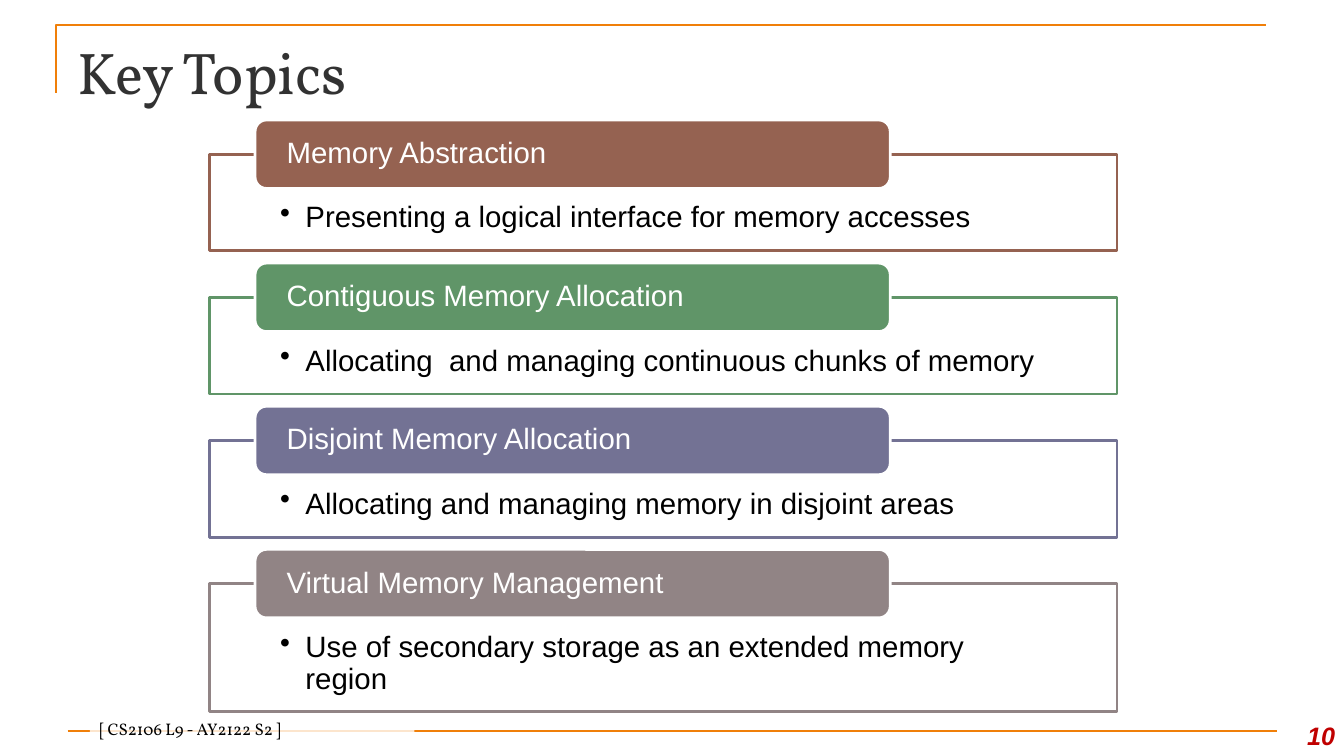
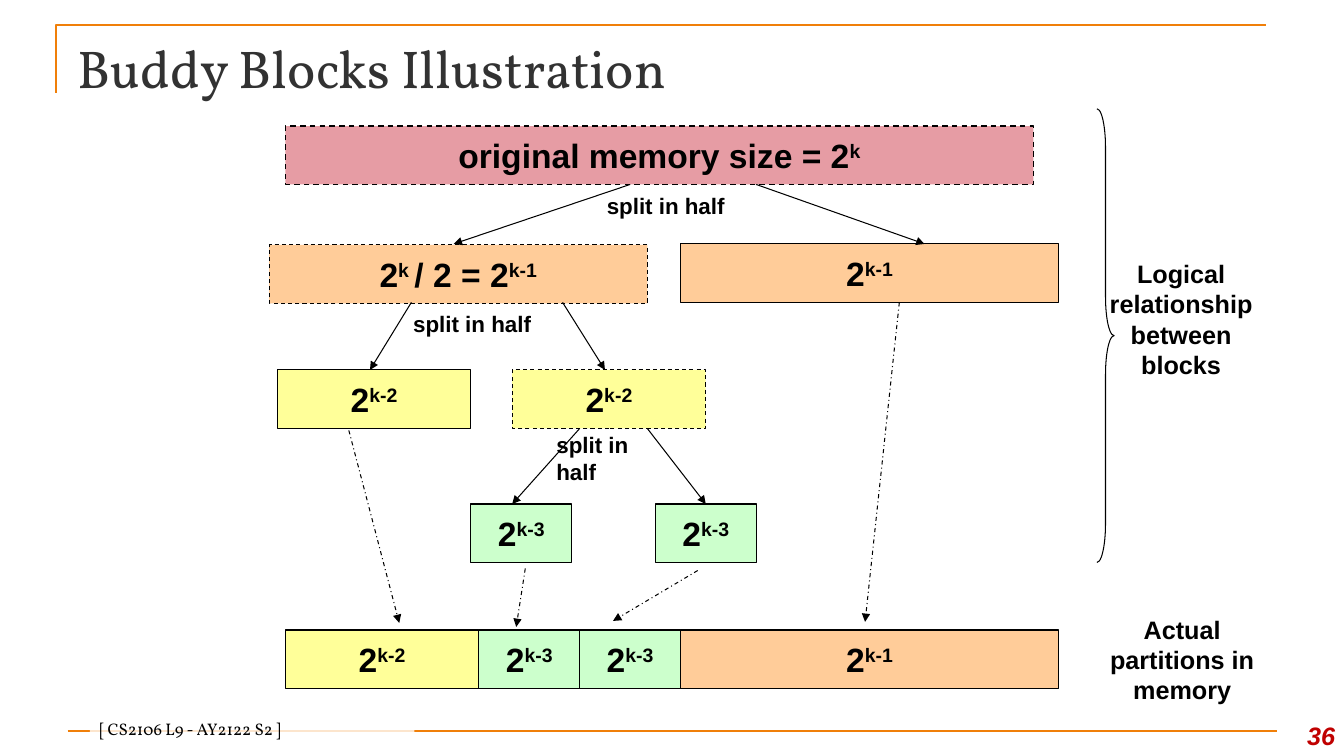
from pptx import Presentation
from pptx.dml.color import RGBColor
from pptx.enum.dml import MSO_LINE
from pptx.enum.shapes import MSO_CONNECTOR, MSO_SHAPE
from pptx.enum.text import MSO_ANCHOR, MSO_AUTO_SIZE, PP_ALIGN
from pptx.oxml.ns import qn
from pptx.util import Inches, Pt
from lxml import etree

# Shared colours and fonts
ORANGE = RGBColor(0xF0, 0x7F, 0x09)
CHARCOAL = RGBColor(0x32, 0x32, 0x32)
DARK_RED = RGBColor(0xC0, 0x00, 0x00)
BLACK = RGBColor(0x00, 0x00, 0x00)
WHITE = RGBColor(0xFF, 0xFF, 0xFF)
BROWN = RGBColor(0x95, 0x62, 0x51)
GREEN = RGBColor(0x60, 0x95, 0x68)
VIOLET = RGBColor(0x73, 0x72, 0x94)
GREY = RGBColor(0x91, 0x84, 0x85)
PINK = RGBColor(0xE6, 0x9C, 0xA4)
PEACH = RGBColor(0xFF, 0xCC, 0x99)
YELLOW = RGBColor(0xFF, 0xFF, 0x99)
MINT = RGBColor(0xCC, 0xFF, 0xCC)
SERIF = "Vollkorn"
SANS = "Arial"

RECTANGLE = MSO_SHAPE.RECTANGLE
ROUNDED = MSO_SHAPE.ROUNDED_RECTANGLE
RIGHT_BRACE = MSO_SHAPE.RIGHT_BRACE
STRAIGHT = MSO_CONNECTOR.STRAIGHT
TOP, MIDDLE, BOTTOM = MSO_ANCHOR.TOP, MSO_ANCHOR.MIDDLE, MSO_ANCHOR.BOTTOM
LEFT, CENTER, RIGHT = PP_ALIGN.LEFT, PP_ALIGN.CENTER, PP_ALIGN.RIGHT
DASH, DASH_DOT = MSO_LINE.DASH, MSO_LINE.DASH_DOT
NO_AUTOFIT = MSO_AUTO_SIZE.NONE

TITLE_ONLY = 5
BLOCK_HEIGHT = 0.58
FOOTER = "[ CS2106 L9 - AY2122 S2 ]"

TOPICS = [
    ("Memory Abstraction",
     "Presenting a logical interface for memory accesses", BROWN, 0.96),
    ("Contiguous Memory Allocation",
     "Allocating  and managing continuous chunks of memory", GREEN, 0.96),
    ("Disjoint Memory Allocation",
     "Allocating and managing memory in disjoint areas", VIOLET, 0.96),
    ("Virtual Memory Management",
     "Use of secondary storage as an extended memory region", GREY, 1.27),
]

# Text between a pair of ^ marks is superscript: text, left, top, width, fill, dash
BLOCKS = [
    ("original memory size = 2^k", 2.83, 1.25, 7.42, PINK, DASH),
    ("2^k ^/ 2 = 2^k-1", 2.67, 2.43, 3.75, PEACH, DASH),
    ("2^k-1", 6.75, 2.42, 3.75, PEACH, None),
    ("2^k-2", 2.75, 3.67, 1.92, YELLOW, None),
    ("2^k-2", 5.08, 3.67, 1.92, YELLOW, DASH),
    ("2^k-3", 4.67, 5, 1, MINT, None),
    ("2^k-3", 6.5, 5, 1, MINT, None),
]

PARTITIONS = [
    ("2^k-2", 1.92, YELLOW),
    ("2^k-3", 1, MINT),
    ("2^k-3", 1, MINT),
    ("2^k-1", 3.75, PEACH),
]

SPLIT_ARROWS = [
    ((6.25, 1.83), (4.5, 2.42)),
    ((7.5, 1.83), (9.17, 2.42)),
    ((4.08, 3), (3.67, 3.67)),
    ((5.58, 3), (6, 3.67)),
    ((5.75, 4.25), (5.08, 5)),
    ((6.42, 4.25), (7, 5)),
]

PLACEMENT_ARROWS = [
    ((3.46, 4.27), (3.96, 6.18)),
    ((5.21, 5.64), (5.12, 6.22)),
    ((6.92, 5.66), (6.08, 6.16)),
    ((8.92, 3), (8.58, 6.17)),
]

SPLIT_LABELS = [(5.92, 1.75, 1.67), (4, 2.92, 1.67), (5.42, 4.25, 1.33)]


def box(left, top, width, height):
    return Inches(left), Inches(top), Inches(width), Inches(height)


def style_font(font, size, color, name=SANS, bold=False, italic=False):
    font.size, font.name = Pt(size), name
    font.bold, font.italic = bold, italic
    font.color.rgb = color


def write(shape, text, size, color, align=LEFT, anchor=MIDDLE, wrap=True, **style):
    """Write one paragraph, raising the parts that follow odd ^ marks."""
    frame = shape.text_frame
    frame.word_wrap = wrap
    frame.auto_size = NO_AUTOFIT
    frame.vertical_anchor = anchor
    paragraph = frame.paragraphs[0]
    paragraph.alignment = align
    style_font(paragraph.font, size, color, **style)
    for index, part in enumerate(text.split("^")):
        run = paragraph.add_run()
        run.text = part
        if index % 2:
            run._r.get_or_add_rPr().set("baseline", "30000")
    return paragraph


def set_insets(shape, left, top, right, bottom):
    frame = shape.text_frame
    frame.margin_left, frame.margin_top = Inches(left), Inches(top)
    frame.margin_right, frame.margin_bottom = Inches(right), Inches(bottom)


def add_bullet(paragraph, indent):
    properties = paragraph._p.get_or_add_pPr()
    properties.set("marL", str(Inches(indent)))
    properties.set("indent", str(-Inches(indent)))
    bullet = etree.Element(qn("a:buChar"), char="•")
    properties.insert_element_before(bullet, "a:tabLst", "a:defRPr", "a:extLst")


def set_line(line, color, width, dash=None):
    line.color.rgb = color
    line.width = Pt(width)
    if dash is not None:
        line.dash_style = dash


def add_panel(slide, kind, place, fill=None, line=None, width=0.75, dash=None):
    shape = slide.shapes.add_shape(kind, *box(*place))
    shape.shadow.inherit = False
    if fill is None:
        shape.fill.background()
    else:
        shape.fill.solid()
        shape.fill.fore_color.rgb = fill
    if line is None:
        shape.line.fill.background()
    else:
        set_line(shape.line, line, width, dash)
    return shape


def add_label(slide, place, text, size, color=BLACK, **style):
    text_box = slide.shapes.add_textbox(*box(*place))
    write(text_box, text, size, color, **style)


def add_line(slide, start, end, color, width, dash=None, arrow=False):
    ends = [Inches(value) for value in (*start, *end)]
    connector = slide.shapes.add_connector(STRAIGHT, *ends)
    set_line(connector.line, color, width, dash)
    if arrow:
        outline = connector.line._get_or_add_ln()
        etree.SubElement(outline, qn("a:tailEnd"), type="triangle")
    etree.SubElement(connector._element.spPr, qn("a:effectLst"))


def add_block(slide, text, left, top, width, fill, dash=None):
    line_width = 1 if fill == PINK else 0.75
    block = add_panel(slide, RECTANGLE, (left, top, width, BLOCK_HEIGHT),
                      fill, BLACK, line_width, dash)
    write(block, text, 24, BLACK, align=CENTER, wrap=False, bold=True)


def add_topic(slide, top, heading, detail, color, height):
    frame = add_panel(slide, RECTANGLE, (2.08, top, 9, height), WHITE, color, 2)
    set_insets(frame, 0.7, 0.48, 0.7, 0.16)
    paragraph = write(frame, detail, 21, BLACK, anchor=TOP)
    paragraph.line_spacing = 0.9
    add_bullet(paragraph, 0.25)

    header = add_panel(slide, ROUNDED, (2.53, top - 0.34, 6.3, 0.68), color, WHITE, 2)
    set_insets(header, 0.28, 0, 0.28, 0)
    write(header, heading, 21, WHITE).line_spacing = 0.9


def add_base_slide(presentation, title, title_size, number):
    slide = presentation.slides.add_slide(presentation.slide_layouts[TITLE_ONLY])

    # Corner rule and bottom rule
    builder = slide.shapes.build_freeform(Inches(0.56), Inches(0.92))
    corner_points = [(Inches(0.56), Inches(0.25)), (Inches(12.56), Inches(0.25))]
    builder.add_line_segments(corner_points, close=False)
    corner = builder.convert_to_shape()
    corner.shadow.inherit = False
    corner.fill.background()
    set_line(corner.line, ORANGE, 1.5)
    add_line(slide, (0.67, 7.25), (12.67, 7.25), ORANGE, 1.5)

    # Title
    heading = slide.shapes.title
    heading.left, heading.top, heading.width, heading.height = box(0.67, 0.3, 12, 0.78)
    write(heading, title, title_size, CHARCOAL, anchor=TOP, name=SERIF)

    # Footer and slide number
    footer = add_panel(slide, RECTANGLE, (0.89, 7.13, 3.22, 0.25), WHITE)
    fill_color = footer._element.spPr.find(".//" + qn("a:srgbClr"))
    etree.SubElement(fill_color, qn("a:alpha"), val="80000")
    write(footer, FOOTER, 12, BLACK, anchor=BOTTOM, name=SERIF)
    add_label(slide, (12.56, 7, 0.78, 0.5), number, 18, DARK_RED,
              align=RIGHT, anchor=BOTTOM, bold=True, italic=True)
    return slide


def build_key_topics(presentation):
    slide = add_base_slide(presentation, "Key Topics", 42, "10")
    for index, topic in enumerate(TOPICS):
        add_topic(slide, 1.53 + 1.42 * index, *topic)


def build_buddy_blocks(presentation):
    slide = add_base_slide(presentation, "Buddy Blocks Illustration", 38, "36")

    # Tree of splits
    for block in BLOCKS:
        add_block(slide, *block)
    for start, end in SPLIT_ARROWS:
        add_line(slide, start, end, BLACK, 0.75, arrow=True)
    for left, top, width in SPLIT_LABELS:
        add_label(slide, (left, top, width, BLOCK_HEIGHT), "split in half", 16, bold=True)

    # Partitions side by side in memory
    left = 2.83
    for text, width, fill in PARTITIONS:
        add_block(slide, text, left, 6.25, width, fill)
        left += width
    for start, end in PLACEMENT_ARROWS:
        add_line(slide, start, end, BLACK, 0.75, DASH_DOT, arrow=True)

    # Side notes
    brace = add_panel(slide, RIGHT_BRACE, (10.88, 1.08, 0.17, 4.5), line=BLACK)
    brace.adjustments[0] = 2.25
    add_label(slide, (10.88, 2.33, 1.67, 1.67), "Logical relationship between blocks",
              18, align=CENTER, bold=True)
    add_label(slide, (10.89, 6.08, 1.67, 0.92), "Actual partitions in memory",
              18, align=CENTER, bold=True)


def main():
    presentation = Presentation()
    presentation.slide_width = Inches(13.33)
    presentation.slide_height = Inches(7.5)
    build_key_topics(presentation)
    build_buddy_blocks(presentation)
    presentation.save("out.pptx")


main()
